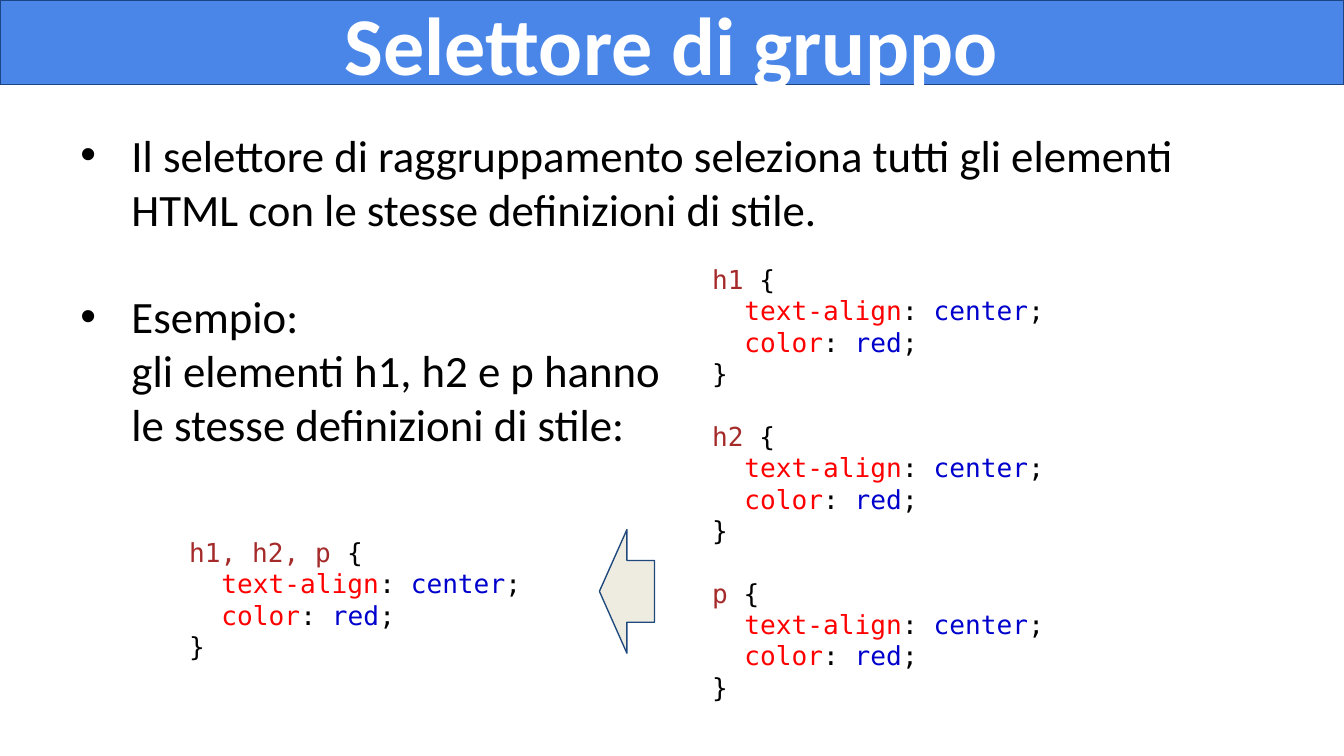
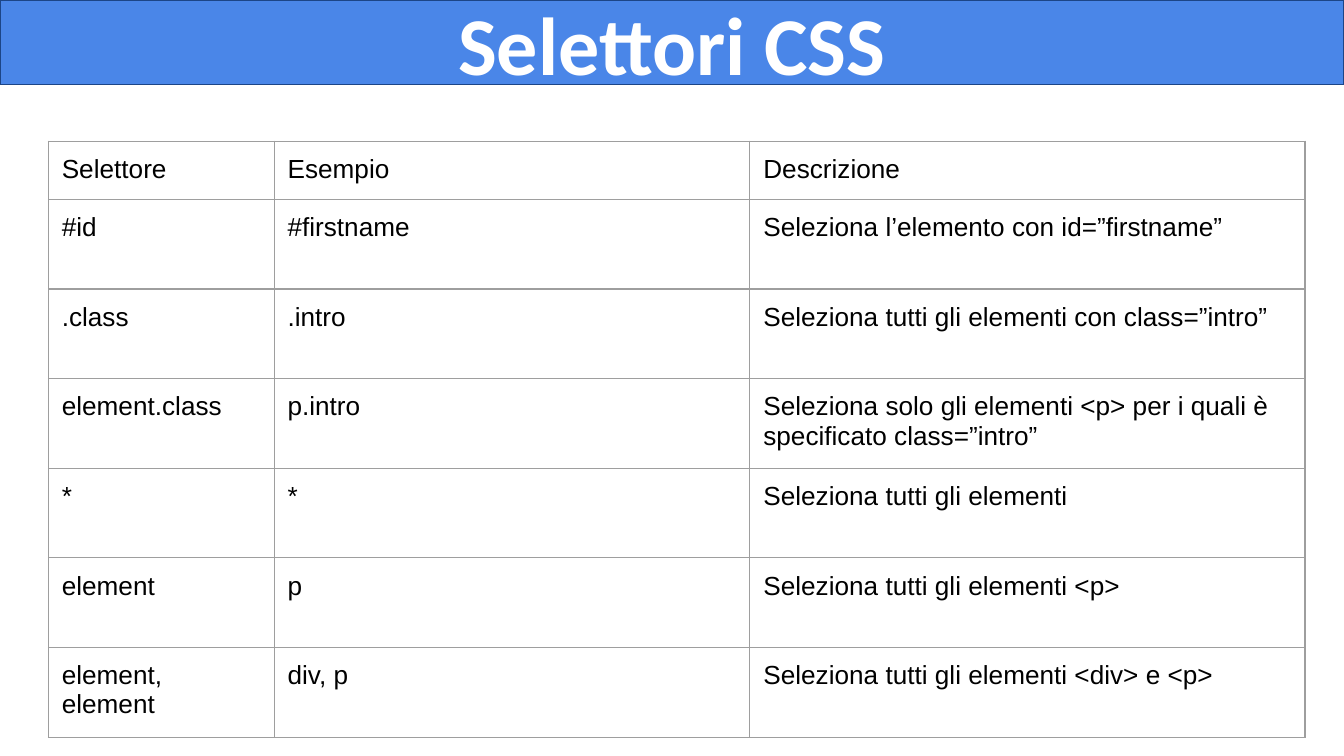
from lxml import etree
from pptx import Presentation
from pptx.dml.color import RGBColor
from pptx.enum.shapes import MSO_SHAPE as SHAPE
from pptx.enum.text import MSO_ANCHOR as ANCHOR, PP_ALIGN as ALIGN
from pptx.oxml.ns import qn
from pptx.util import Inches, Pt

BLACK, WHITE = "000000", "FFFFFF"
BAND, BAND_LINE = "4A86E8", "1C4587"
ARROW, ARROW_LINE = "EEECE1", "1F497D"
GRID = "9E9E9E"
SELECTOR, PROPERTY, VALUE = "A52A2A", "FF0000", "0000CD"

TITLE = dict(name="Calibri", size=Pt(44), bold=True)
BODY = dict(name="Calibri", size=Pt(24))
CODE = dict(name="DejaVu Sans Mono", size=Pt(14))
CELL = dict(name="Arial", size=Pt(14))
MARGINS = ("margin_left", "margin_top", "margin_right", "margin_bottom")

STYLES = [("text-align", "center"), ("color", "red")]
BULLETS = [
    "Il selettore di raggruppamento seleziona tutti gli elementi HTML "
    "con le stesse definizioni di stile.",
    "Esempio:\ngli elementi h1, h2 e p hanno\nle stesse definizioni di stile:",
]
COLUMNS = [1.68, 3.54, 4.13]
SELECTORS = [
    ("Selettore", "Esempio", "Descrizione"),
    ("#id", "#firstname", "Seleziona l’elemento con id=”firstname”"),
    (".class", ".intro", "Seleziona tutti gli elementi con class=”intro”"),
    ("element.class", "p.intro",
     "Seleziona solo gli elementi <p> per i quali è specificato class=”intro”"),
    ("*", "*", "Seleziona tutti gli elementi"),
    ("element", "p", "Seleziona tutti gli elementi <p>"),
    ("element, element", "div, p", "Seleziona tutti gli elementi <div> e <p>"),
]


def rgb(value):
    return RGBColor.from_string(value)


def set_font(r, style, color):
    for key, value in style.items():
        setattr(r.font, key, value)
    r.font.color.rgb = rgb(color)


def set_insets(target, x=0.1, y=0.1):
    """Set the inner margins of a text frame or a table cell."""
    for name, value in zip(MARGINS, (x, y, x, y)):
        setattr(target, name, Inches(value))


def write(p, text, style, color=BLACK):
    p.text = text
    for r in p.runs:
        set_font(r, style, color)


def add_box(s, kind, box, fill, line):
    sp = s.shapes.add_shape(kind, *map(Inches, box))
    sp.shadow.inherit = False
    sp.fill.solid()
    sp.fill.fore_color.rgb = rgb(fill)
    sp.line.color.rgb = rgb(line)
    sp.line.width = Pt(0.75)
    return sp


def add_text(s, box, inset_y=0.1):
    tf = s.shapes.add_textbox(*map(Inches, box)).text_frame
    tf.word_wrap = True
    set_insets(tf, y=inset_y)
    return tf


def paragraphs(tf):
    """Yield the first paragraph of the frame, then new ones."""
    yield tf.paragraphs[0]
    while True:
        yield tf.add_paragraph()


def add_title_slide(prs, title):
    """Add a blank slide with the title band across its top."""
    s = prs.slides.add_slide(prs.slide_layouts[6])
    tf = add_box(s, SHAPE.RECTANGLE, (0, 0, 10, 0.63), BAND, BAND_LINE).text_frame
    tf.word_wrap = True
    tf.vertical_anchor = ANCHOR.MIDDLE
    set_insets(tf)
    p = tf.paragraphs[0]
    p.alignment = ALIGN.CENTER
    write(p, title, TITLE, WHITE)
    return s


def add_bullets(s, box, items):
    tf = add_text(s, box, inset_y=0.05)
    for text, p in zip(items, paragraphs(tf)):
        write(p, text, BODY)
        p.space_after = Pt(29)
        pPr = p._p.get_or_add_pPr()
        pPr.set("marL", str(Inches(0.38)))
        pPr.set("indent", str(-Inches(0.38)))
        etree.SubElement(pPr, qn("a:buFont"), typeface="Arial")
        etree.SubElement(pPr, qn("a:buChar"), char="•")


def add_css(s, box, selectors):
    """Write one coloured CSS rule for each selector."""
    lines = paragraphs(add_text(s, box))

    def add_line(*parts):
        p = next(lines)
        for text, color in parts:
            r = p.add_run()
            r.text = text
            set_font(r, CODE, color)
        return p

    for i, selector in enumerate(selectors):
        p = add_line((selector + " ", SELECTOR), ("{", BLACK))
        p.space_before = Pt(16.8 if i else 0)
        for name, value in STYLES:
            p = add_line((name, PROPERTY), (":", BLACK),
                         (" " + value, VALUE), (";", BLACK))
            p._p.get_or_add_pPr().set("marL", str(Inches(0.24)))
        add_line(("}", BLACK))


def set_borders(cell):
    tcPr = cell._tc.get_or_add_tcPr()
    for side in "LRTB":
        ln = etree.SubElement(tcPr, qn(f"a:ln{side}"), w=str(Pt(0.75)))
        fill = etree.SubElement(ln, qn("a:solidFill"))
        etree.SubElement(fill, qn("a:srgbClr"), val=GRID)


def add_grid(s, left, top, widths, rows):
    heights = [0.43] + [2 / 3] * (len(rows) - 1)
    box = (left, top, sum(widths), sum(heights))
    table = s.shapes.add_table(len(rows), len(widths), *map(Inches, box)).table
    table.first_row = table.horz_banding = False
    for column, width in zip(table.columns, widths):
        column.width = Inches(width)
    for row, height, texts in zip(table.rows, heights, rows):
        row.height = Inches(height)
        for cell, text in zip(row.cells, texts):
            set_insets(cell)
            set_borders(cell)
            cell.fill.background()
            write(cell.text_frame.paragraphs[0], text, CELL)


def main():
    prs = Presentation()
    prs.slide_width = Inches(10)
    prs.slide_height = prs.slide_width * 9 // 16

    s = add_title_slide(prs, "Selettore di gruppo")
    add_bullets(s, (0.5, 0.9, 9, 2.14), BULLETS)
    add_css(s, (5.2, 1.86, 4.3, 3.5), ["h1", "h2", "p"])
    add_css(s, (1.31, 3.89, 3, 1.14), ["h1, h2, p"])
    add_box(s, SHAPE.LEFT_ARROW, (4.46, 3.94, 0.41, 0.92), ARROW, ARROW_LINE)

    s = add_title_slide(prs, "Selettori CSS")
    add_grid(s, 0.36, 1.05, COLUMNS, SELECTORS)

    prs.save("out.pptx")


if __name__ == "__main__":
    main()
